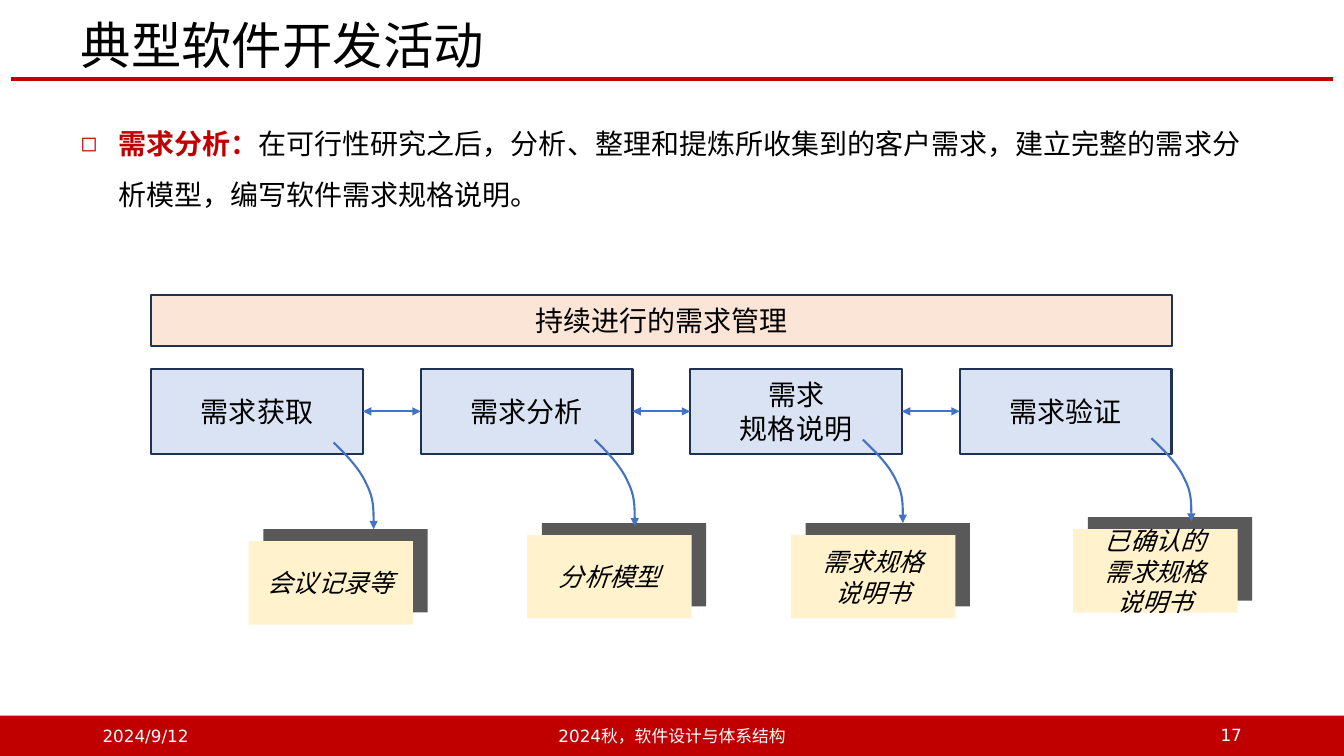
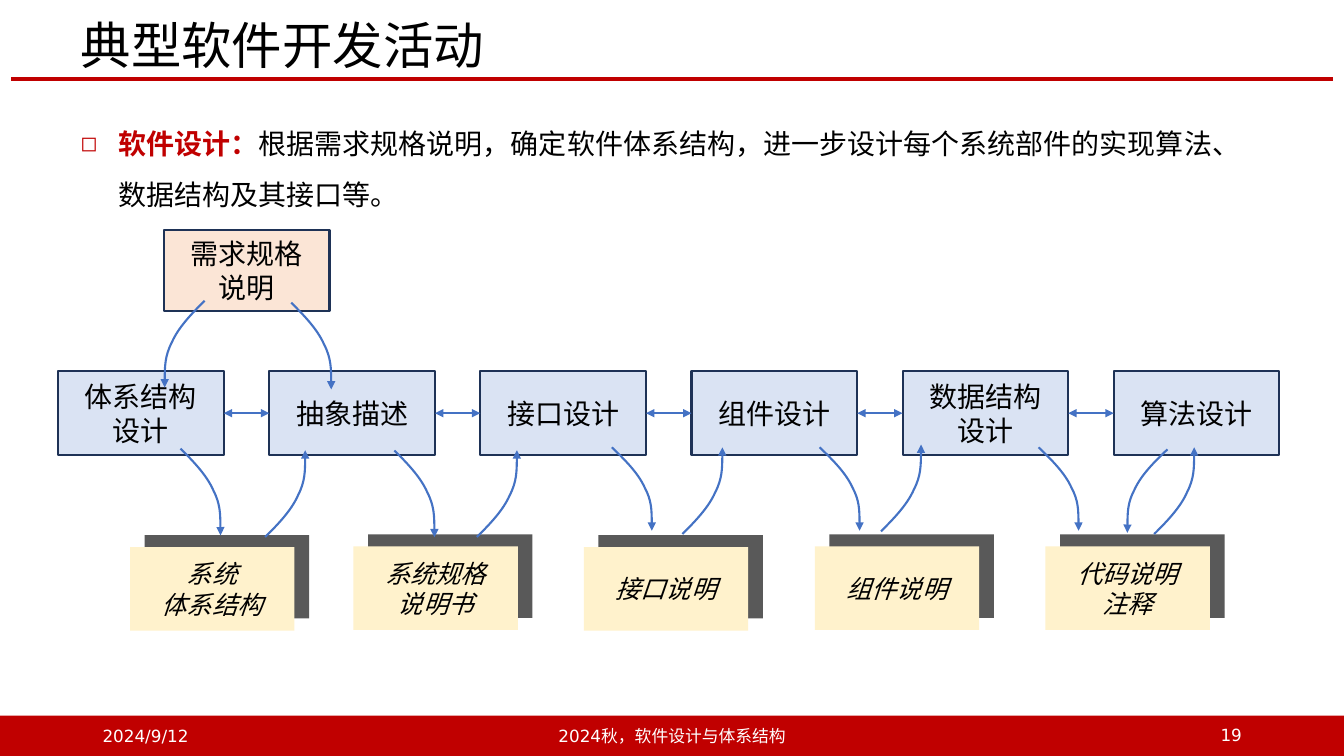
from dataclasses import dataclass, replace
from typing import Any, Optional

from lxml import etree
from pptx import Presentation
from pptx.dml.color import RGBColor
from pptx.enum.lang import MSO_LANGUAGE_ID
from pptx.enum.shapes import MSO_CONNECTOR, MSO_SHAPE
from pptx.enum.text import MSO_ANCHOR, MSO_AUTO_SIZE, PP_ALIGN
from pptx.oxml.ns import qn
from pptx.util import Pt

RECT = MSO_SHAPE.RECTANGLE
STRAIGHT = MSO_CONNECTOR.STRAIGHT
LEFT, CENTER, RIGHT = PP_ALIGN.LEFT, PP_ALIGN.CENTER, PP_ALIGN.RIGHT
MIDDLE, TOP = MSO_ANCHOR.MIDDLE, MSO_ANCHOR.TOP
CHINESE = MSO_LANGUAGE_ID.SIMPLIFIED_CHINESE
TITLE_ONLY = 5


@dataclass(frozen=True)
class TextStyle:
    size: float
    color: str = "000000"
    font: str = "DejaVu Sans"
    bold: bool = False
    italic: bool = False


@dataclass(frozen=True)
class Theme:
    red: str = "C00000"
    step_fill: str = "DAE3F3"
    input_fill: str = "FBE5D6"
    border: str = "1E3256"
    arrow: str = "4472C4"
    paper: str = "FFF2CC"
    paper_shadow: str = "595959"
    title: TextStyle = TextStyle(36, font="Noto Sans CJK SC")
    body: TextStyle = TextStyle(20)
    term: TextStyle = TextStyle(20, color="C00000", bold=True)
    note: TextStyle = TextStyle(18, italic=True)
    footer: TextStyle = TextStyle(12, color="FFFFFF")


THEME = Theme()


@dataclass(frozen=True)
class Area:
    x: float
    y: float
    w: float
    h: float

    def lengths(self) -> tuple:
        return Pt(self.x), Pt(self.y), Pt(self.w), Pt(self.h)


@dataclass(frozen=True)
class Steps:
    """A row of equally spaced boxes joined by double arrows."""
    first: Area
    pitch: float
    labels: tuple[str, ...]


@dataclass(frozen=True)
class Note:
    x: float
    y: float
    label: str


@dataclass(frozen=True)
class Curve:
    x: float
    y: float
    dy: float
    dx: float = 28.6


@dataclass(frozen=True)
class Activity:
    number: str
    term: str
    definition: str
    definition_style: TextStyle
    source: Area
    source_label: str
    steps: Steps
    notes: tuple[Note, ...]
    curves: tuple[Curve, ...]


TITLE = "典型软件开发活动"
TITLE_AREA = Area(50.4, 13, 843.2, 43)
BODY_AREA = Area(50.4, 75, 843.2, 75.6)
BAND = Area(0, 511.2, 960, 28.8)
FOOTER_DATE = Area(66.2, 511.2, 216, 28.8)
FOOTER_COURSE = Area(318.2, 511.2, 324, 28.8)
FOOTER_NUMBER = Area(678.2, 510.5, 216, 28.8)
NOTE_SIZE = (117.4, 59.6)
NOTE_SHADOW = (10.5, -8.6)
# Two joined Bézier segments, as fractions of the curve's width and height.
BEND = ((0.33, 0.15), (0.66, 0.31), (0.82, 0.48), (1, 0.64), (1, 0.82), (1, 1))

ACTIVITIES = (
    Activity(
        "17", "需求分析：",
        "在可行性研究之后，分析、整理和提炼所收集到的客户需求，"
        "建立完整的需求分析模型，编写软件需求规格说明。",
        THEME.body,
        Area(108, 211, 729, 36), "持续进行的需求管理",
        Steps(Area(108, 263.6, 151.3, 60.5), 192.5,
              ("需求获取", "需求分析", "需求\n规格说明", "需求验证")),
        (Note(177.6, 386.5, "会议记录等"), Note(376.6, 382.2, "分析模型"),
         Note(565, 382.2, "需求规格\n说明书"),
         Note(766.6, 378, "已确认的\n需求规格\n说明书")),
        (Curve(238.3, 316, 62), Curve(424.8, 314, 62),
         Curve(616.3, 314, 59.6), Curve(822.4, 313, 59.6)),
    ),
    Activity(
        "19", "软件设计：",
        "根据需求规格说明，确定软件体系结构，"
        "进一步设计每个系统部件的实现算法、数据结构及其接口等。",
        replace(THEME.body, font="Arial"),
        Area(117.2, 164.3, 118.2, 57.8), "需求规格\n说明",
        Steps(Area(41.5, 265, 118.4, 60.3), 150.8,
              ("体系结构\n设计", "抽象描述", "接口设计", "组件设计",
               "数据结构\n设计", "算法设计")),
        (Note(92.9, 390.8, "系统\n体系结构"), Note(252.5, 390.3, "系统规格\n说明书"),
         Note(417, 390.8, "接口说明"), Note(582, 390.3, "组件说明"),
         Note(746.8, 390.3, "代码说明\n注释")),
        (Curve(208, 216.2, 62), Curve(146.2, 214.8, 62, -28.6),
         Curve(128.9, 320.4, 62), Curve(281.7, 321.8, 62),
         Curve(437, 319.5, 59.6), Curve(585.4, 319.5, 59.6),
         Curve(741.8, 319.5, 59.6), Curve(833.9, 321, 59.6, -28.6),
         Curve(189.4, 383.6, -62), Curve(340.6, 383.6, -62),
         Curve(487.4, 381.5, -62), Curve(629.3, 379.5, -62),
         Curve(824.4, 381.5, -62)),
    ),
)


def set_all(target: Any, values: dict[str, Any]) -> None:
    for name, value in values.items():
        setattr(target, name, value)


def add_run(paragraph: Any, text: str, style: TextStyle) -> None:
    run = paragraph.add_run()
    run.text = text
    set_all(run.font, {"size": Pt(style.size), "bold": style.bold,
                       "italic": style.italic, "name": style.font,
                       "language_id": CHINESE})
    run.font.color.rgb = RGBColor.from_string(style.color)
    east_asian = etree.Element(qn("a:ea"), typeface=style.font)
    run._r.get_or_add_rPr().find(qn("a:latin")).addnext(east_asian)


def write(frame: Any, text: str, style: TextStyle, align: PP_ALIGN,
          spacing: Optional[float] = None) -> None:
    """Fill a text frame, one paragraph for each line of text."""
    set_all(frame, {"word_wrap": True, "vertical_anchor": MIDDLE,
                    "auto_size": MSO_AUTO_SIZE.NONE})
    for index, line in enumerate(text.split("\n")):
        paragraph = frame.add_paragraph() if index else frame.paragraphs[0]
        set_all(paragraph, {"alignment": align, "line_spacing": spacing})
        add_run(paragraph, line, style)


def add_box(slide: Any, area: Area, fill: str, border: Optional[str] = None,
            label: str = "", style: TextStyle = THEME.body) -> None:
    box = slide.shapes.add_shape(RECT, *area.lengths())
    box.shadow.inherit = False
    box.fill.solid()
    box.fill.fore_color.rgb = RGBColor.from_string(fill)
    if border:
        set_line(box.line, border, 1.5)
    else:
        box.line.fill.background()
    if label:
        write(box.text_frame, label, style, CENTER)


def set_line(line: Any, color: str, width: float, *arrow_ends: str) -> None:
    line.width = Pt(width)
    line.color.rgb = RGBColor.from_string(color)
    for end in arrow_ends:
        etree.SubElement(line._get_or_add_ln(), qn(f"a:{end}"), type="triangle")


def add_straight(slide: Any, x1: float, x2: float, y: float, color: str,
                 width: float, *arrow_ends: str) -> None:
    straight = slide.shapes.add_connector(STRAIGHT, Pt(x1), Pt(y), Pt(x2), Pt(y))
    set_line(straight.line, color, width, *arrow_ends)
    etree.SubElement(straight._element.spPr, qn("a:effectLst"))


def add_curve(slide: Any, curve: Curve) -> None:
    """Draw the control points as a polyline, then turn it into Bézier segments."""
    builder = slide.shapes.build_freeform(Pt(curve.x), Pt(curve.y))
    builder.add_line_segments(
        [(Pt(curve.x + u * curve.dx), Pt(curve.y + v * curve.dy)) for u, v in BEND],
        close=False)
    arrow = builder.convert_to_shape()
    arrow.shadow.inherit = False
    arrow.fill.background()
    set_line(arrow.line, THEME.arrow, 1.5, "tailEnd")
    segments = list(arrow._element.iter(qn("a:lnTo")))
    for start in range(0, len(segments), 3):
        bezier = etree.Element(qn("a:cubicBezTo"))
        segments[start].addprevious(bezier)
        for segment in segments[start:start + 3]:
            bezier.append(segment[0])
            segment.getparent().remove(segment)


def add_steps(slide: Any, steps: Steps) -> None:
    first = steps.first
    middle = first.y + first.h / 2
    for index, label in enumerate(steps.labels):
        x = first.x + index * steps.pitch
        add_box(slide, replace(first, x=x), THEME.step_fill, THEME.border, label)
        if index:
            add_straight(slide, x - steps.pitch + first.w, x, middle,
                         THEME.arrow, 1.5, "headEnd", "tailEnd")


def add_note(slide: Any, note: Note) -> None:
    dx, dy = NOTE_SHADOW
    add_box(slide, Area(note.x + dx, note.y + dy, *NOTE_SIZE), THEME.paper_shadow)
    add_box(slide, Area(note.x, note.y, *NOTE_SIZE), THEME.paper,
            label=note.label, style=THEME.note)


def add_definition(slide: Any, activity: Activity) -> None:
    frame = slide.shapes.add_textbox(*BODY_AREA.lengths()).text_frame
    set_all(frame, {"word_wrap": True, "vertical_anchor": TOP,
                    "auto_size": MSO_AUTO_SIZE.SHAPE_TO_FIT_TEXT})
    paragraph = frame.paragraphs[0]
    properties = paragraph._p.get_or_add_pPr()
    indent = Pt(27)
    properties.set("marL", str(indent))
    properties.set("indent", str(-indent))
    bullet_color = etree.SubElement(properties, qn("a:buClr"))
    etree.SubElement(bullet_color, qn("a:srgbClr"), val=THEME.red)
    etree.SubElement(properties, qn("a:buSzPct"), val="75000")
    etree.SubElement(properties, qn("a:buFont"), typeface=THEME.body.font)
    etree.SubElement(properties, qn("a:buChar"), char="◻")
    paragraph.line_spacing = 1.5
    add_run(paragraph, activity.term, THEME.term)
    add_run(paragraph, activity.definition, activity.definition_style)


def add_frame(slide: Any, number: str) -> None:
    """Add the title, rule, band and footers that all slides share."""
    add_straight(slide, 8, 952, 56.4, THEME.red, 3)
    add_box(slide, BAND, THEME.red)
    title = slide.shapes.title
    set_all(title, dict(zip(("left", "top", "width", "height"), TITLE_AREA.lengths())))
    write(title.text_frame, TITLE, THEME.title, LEFT, 0.9)
    for area, text, align in ((FOOTER_DATE, "2024/9/12", LEFT),
                              (FOOTER_COURSE, "2024秋，软件设计与体系结构", CENTER),
                              (FOOTER_NUMBER, number, RIGHT)):
        footer = slide.shapes.add_textbox(*area.lengths())
        write(footer.text_frame, text, THEME.footer, align)


def main() -> None:
    deck = Presentation()
    set_all(deck, {"slide_width": Pt(960), "slide_height": Pt(540)})
    for activity in ACTIVITIES:
        slide = deck.slides.add_slide(deck.slide_layouts[TITLE_ONLY])
        add_frame(slide, activity.number)
        add_definition(slide, activity)
        add_box(slide, activity.source, THEME.input_fill, THEME.border,
                activity.source_label)
        add_steps(slide, activity.steps)
        for note in activity.notes:
            add_note(slide, note)
        for curve in activity.curves:
            add_curve(slide, curve)
    deck.save("out.pptx")


if __name__ == "__main__":
    main()
